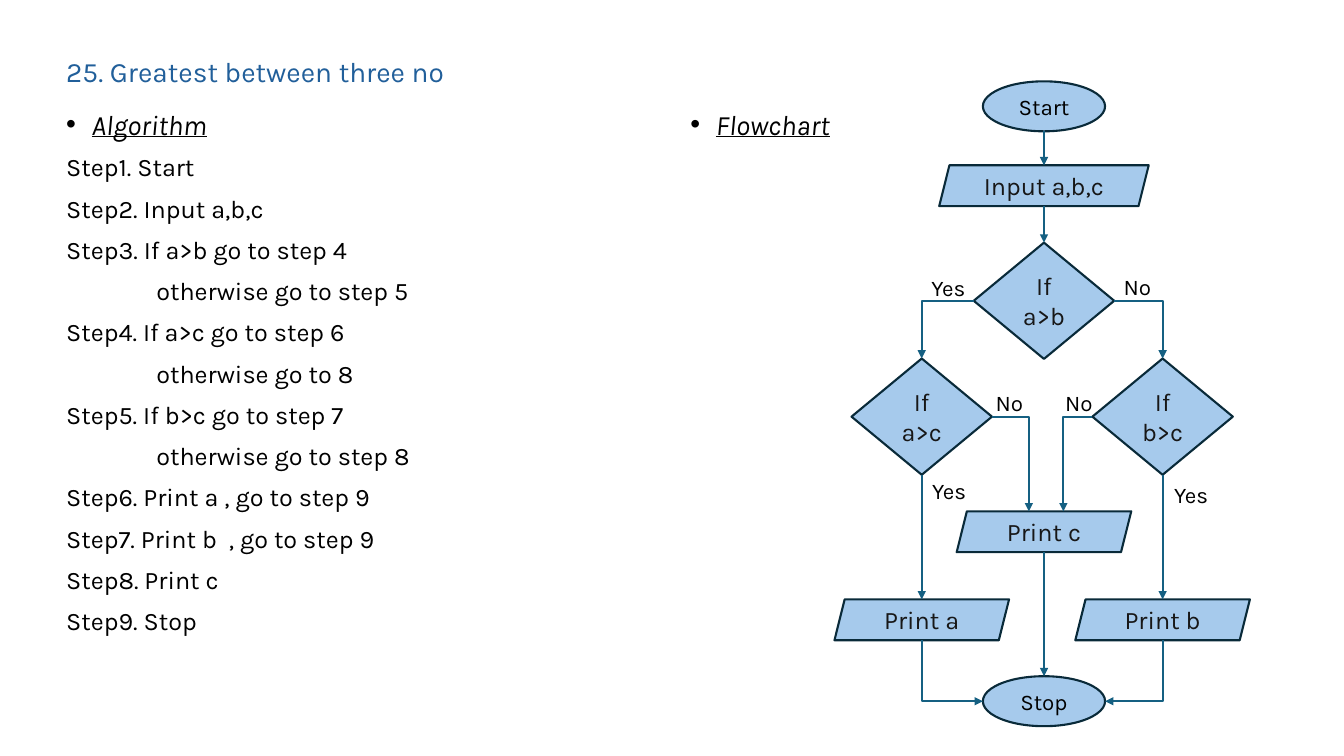
from dataclasses import dataclass
from typing import NamedTuple

from lxml.etree import SubElement
from pptx import Presentation
from pptx.dml.color import RGBColor
from pptx.enum.shapes import MSO_CONNECTOR, MSO_SHAPE
from pptx.enum.text import MSO_ANCHOR, PP_ALIGN
from pptx.oxml.ns import qn
from pptx.util import Cm, Pt

FONT = "Karla"
BLACK = RGBColor(0x00, 0x00, 0x00)
INK = RGBColor(0x17, 0x17, 0x17)
TITLE = RGBColor(0x21, 0x5F, 0x9A)
FILL = RGBColor(0xA6, 0xCA, 0xEC)
EDGE = RGBColor(0x09, 0x2A, 0x39)
ARROW = RGBColor(0x15, 0x60, 0x82)

LEFT, MID, RIGHT = 23.23, 26.31, 29.3  # column centres, cm


class Style(NamedTuple):
    form: MSO_SHAPE
    wide: float
    high: float
    size: int
    color: RGBColor


OVAL = Style(MSO_SHAPE.OVAL, 3.08, 1.26, 16, BLACK)
TEST = Style(MSO_SHAPE.DIAMOND, 3.54, 2.93, 18, INK)
INPUT = Style(MSO_SHAPE.PARALLELOGRAM, 5.28, 1.03, 18, INK)
PRINT = INPUT._replace(wide=4.4)


@dataclass
class Node:
    """A flowchart symbol placed by its centre."""
    text: str
    style: Style
    x: float
    y: float

    @property
    def top(self) -> tuple:
        return self.x, self.y - self.style.high / 2

    @property
    def bottom(self) -> tuple:
        return self.x, self.y + self.style.high / 2

    @property
    def west(self) -> tuple:
        return self.x - self.style.wide / 2, self.y

    @property
    def east(self) -> tuple:
        return self.x + self.style.wide / 2, self.y


class Label(NamedTuple):
    text: str
    x: float
    y: float


START = Node("Start", OVAL, MID, 2.68)
READ = Node("Input a,b,c", INPUT, MID, 4.68)
AB = Node("If a>b", TEST, MID, 7.58)
AC = Node("If a>c", TEST, LEFT, 10.5)
BC = Node("If b>c", TEST, RIGHT, 10.5)
OUT_C = Node("Print c", PRINT, MID, 13.4)
OUT_A = Node("Print a", PRINT, LEFT, 15.62)
OUT_B = Node("Print b", PRINT, RIGHT, 15.62)
STOP = Node("Stop", OVAL, MID, 17.67)
NODES = [START, STOP, AB, AC, BC, READ, OUT_C, OUT_A, OUT_B]

DOWN = [(START, READ), (READ, AB), (AC, OUT_A), (BC, OUT_B), (OUT_C, STOP)]
ACROSS = [
    (AB.west, AC.top),
    (AB.east, BC.top),
    (AC.east, (25.93, OUT_C.top[1])),
    (BC.west, (26.8, OUT_C.top[1])),
]
UNDER = [(OUT_A.bottom, STOP.west), (OUT_B.bottom, STOP.east)]

LABELS = [
    Label("Yes", 23.24, 11.91),
    Label("Yes", 23.22, 6.78),
    Label("Yes", 29.34, 12.01),
    Label("No", 26.59, 9.68),
    Label("No", 24.84, 9.68),
    Label("No", 28.07, 6.76),
]

INDENT = 2.27
STEPS = [
    ("Step1. Start", 0),
    ("Step2. Input a,b,c", 0),
    ("Step3. If a>b go to step 4", 0),
    ("otherwise go to step 5", INDENT),
    ("Step4. If a>c go to step 6", 0),
    ("otherwise go to 8", INDENT),
    ("Step5. If b>c go to step 7", 0),
    ("otherwise go to step 8", INDENT),
    ("Step6. Print a , go to step 9", 0),
    ("Step7. Print b  , go to step 9", 0),
    ("Step8. Print c", 0),
    ("Step9. Stop", 0),
]


def write(para, text: str, size: int, color: RGBColor) -> None:
    para.text = text
    para.font.name = FONT
    para.font.size = Pt(size)
    para.font.color.rgb = color


def add_box(slide, x: float, y: float, wide: float, high: float):
    frame = slide.shapes.add_textbox(Cm(x), Cm(y), Cm(wide), Cm(high)).text_frame
    frame.word_wrap = True
    return frame


def add_list(slide, x: float, wide: float, head: str, steps: list) -> None:
    """Add a bulleted heading with plain lines below it."""
    frame = add_box(slide, x, 2.67, wide, 14.48)
    para = frame.paragraphs[0]
    write(para, head, 20, BLACK)
    para.font.italic = para.font.underline = True
    para.line_spacing, para.space_before = 0.9, Pt(10)
    props = para._p.get_or_add_pPr()
    props.set("marL", str(Cm(0.64)))
    props.set("indent", str(Cm(-0.64)))
    bullet = SubElement(props, qn("a:buChar"), char="•")
    font = props.makeelement(qn("a:buFont"), {"typeface": "Arial"})
    bullet.addprevious(font)
    # Character defaults must follow the bullet in the schema order.
    props.append(props.find(qn("a:defRPr")))
    for text, margin in steps:
        para = frame.add_paragraph()
        write(para, text, 18, BLACK)
        para.line_spacing, para.space_before = 0.9, Pt(10)
        para._p.get_or_add_pPr().set("marL", str(Cm(margin)))


def add_node(slide, node: Node) -> None:
    style = node.style
    shape = slide.shapes.add_shape(style.form, Cm(node.west[0]), Cm(node.top[1]),
                                   Cm(style.wide), Cm(style.high))
    shape.shadow.inherit = False
    shape.fill.solid()
    shape.fill.fore_color.rgb = FILL
    shape.line.color.rgb = EDGE
    shape.line.width = Pt(1.5)
    frame = shape.text_frame
    frame.word_wrap = True
    frame.vertical_anchor = MSO_ANCHOR.MIDDLE
    para = frame.paragraphs[0]
    write(para, node.text, style.size, style.color)
    para.alignment = PP_ALIGN.CENTER


def add_arrow(slide, start: tuple, end: tuple, kind=MSO_CONNECTOR.STRAIGHT):
    line = slide.shapes.add_connector(kind, *map(Cm, start + end))
    line.line.color.rgb = ARROW
    line.line.width = Pt(1.5)
    SubElement(line.line._get_or_add_ln(), qn("a:tailEnd"), type="triangle")
    props = line._element.spPr
    SubElement(props, qn("a:effectLst"))
    if kind == MSO_CONNECTOR.ELBOW:
        props.find(qn("a:prstGeom")).set("prst", "bentConnector2")
    return line


def add_under(slide, start: tuple, end: tuple) -> None:
    """Add an elbow that runs down first, as a turned sideways elbow."""
    (x1, y1), (x2, y2) = start, end
    x, y = (x1 + x2) / 2, (y1 + y2) / 2
    side = 1 if x2 > x1 else -1
    dx, dy = side * (y2 - y1) / 2, abs(x2 - x1) / 2
    line = add_arrow(slide, (x + dx, y - dy), (x - dx, y + dy), MSO_CONNECTOR.ELBOW)
    turn = 270 if side > 0 else 90
    line._element.spPr.find(qn("a:xfrm")).set("rot", str(turn * 60000))


def main() -> None:
    deck = Presentation()
    deck.slide_width, deck.slide_height = Cm(33.87), Cm(19.05)
    slide = deck.slides.add_slide(deck.slide_layouts[6])

    title = add_box(slide, 1.42, 1.02, 30.1, 1.68)
    title.vertical_anchor = MSO_ANCHOR.MIDDLE
    write(title.paragraphs[0], "25. Greatest between three no", 20, TITLE)
    title.paragraphs[0].line_spacing = 0.9
    add_list(slide, 1.42, 15.29, "Algorithm", STEPS)
    add_list(slide, 17.15, 14.4, "Flowchart", [])

    for node in NODES:
        add_node(slide, node)
    for above, below in DOWN:
        add_arrow(slide, above.bottom, below.top)
    for start, end in ACROSS:
        add_arrow(slide, start, end, MSO_CONNECTOR.ELBOW)
    for start, end in UNDER:
        add_under(slide, start, end)
    for label in LABELS:
        frame = add_box(slide, label.x, label.y, 2.08, 0.94)
        write(frame.paragraphs[0], label.text, 16, BLACK)
    deck.save("out.pptx")


if __name__ == "__main__":
    main()
